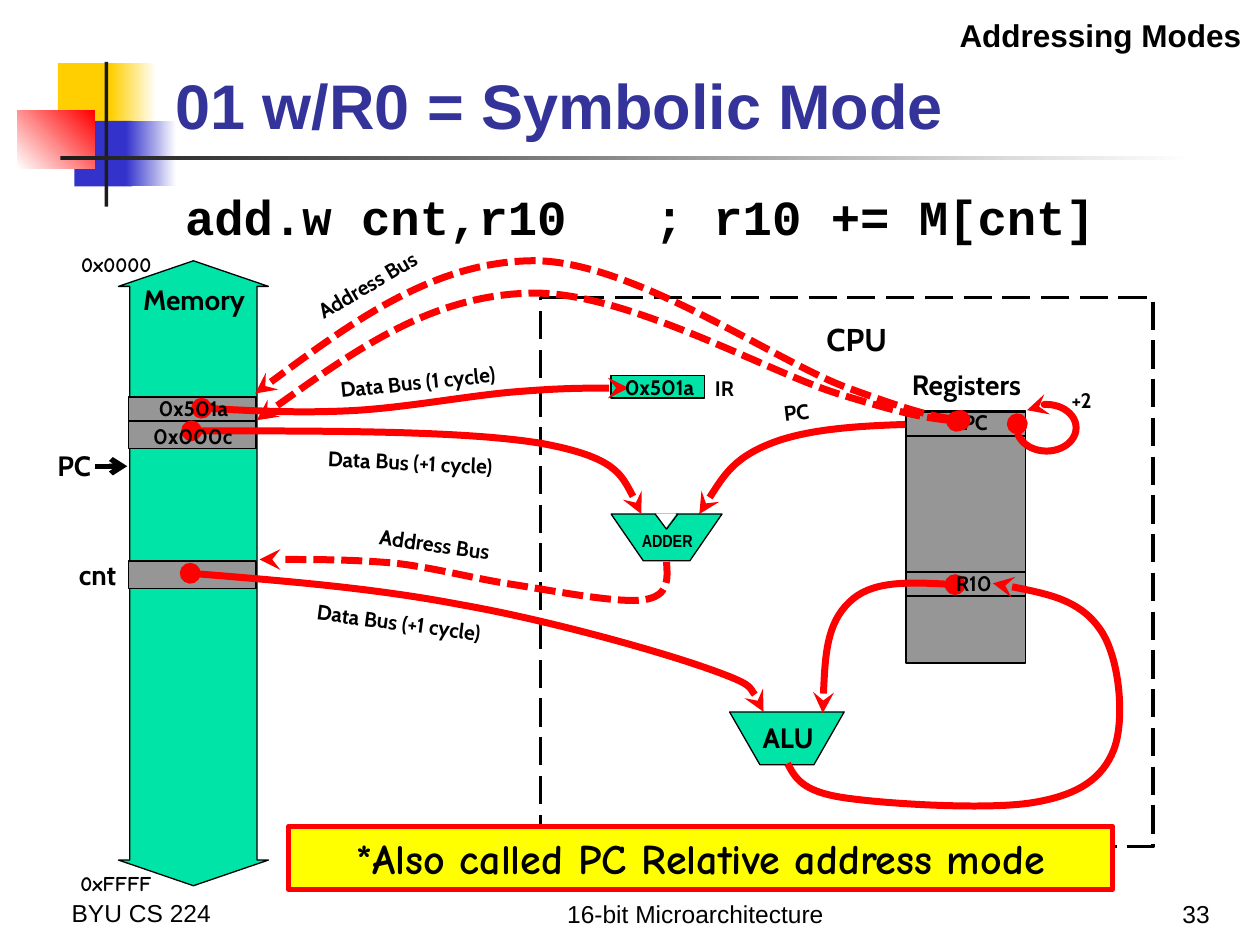
"""Build the symbolic addressing mode slide on a grid of 100 columns by 75 rows."""
import lxml.etree
import pptx
import pptx.dml.color
import pptx.enum.shapes
import pptx.enum.text
import pptx.oxml.ns
import pptx.util

hue = pptx.dml.color.RGBColor.from_string
qn = pptx.oxml.ns.qn
sub = lxml.etree.SubElement
kind = pptx.enum.shapes.MSO_SHAPE
side = pptx.enum.text.PP_ALIGN
edge = pptx.enum.text.MSO_ANCHOR

deck = pptx.Presentation()
deck.slide_width = pptx.util.Inches(10)
deck.slide_height = pptx.util.Inches(7.5)
col = deck.slide_width / 100
row = deck.slide_height / 75
slide = deck.slides.add_slide(deck.slide_layouts[5])
shapes = slide.shapes

RED, BLACK, WHITE = "FF0000", "000000", "FFFFFF"
GREEN, GRAY, DARK = "00E4A8", "969696", "1C1C1C"
GOLD, BLUE = "FFCF01", "3333CC"


def ink(shape, tint, width, dash=None, head=None, tail=None):
    """Give a shape its outline, dash and line ends, and no shadow."""
    if tint:
        shape.line.color.rgb = hue(tint)
        shape.line.width = pptx.util.Pt(width)
    else:
        shape.line.fill.background()
    props = shape.element.spPr
    line = props.find(qn("a:ln"))
    for tag, key, value in (("a:prstDash", "val", dash), ("a:headEnd", "type", head),
                            ("a:tailEnd", "type", tail)):
        if value:
            sub(line, qn(tag)).set(key, value)
    sub(props, qn("a:effectLst"))


def curve(points, head="oval", dash=None, turn=0):
    """Draw a red Bezier arrow through a start point and triples of points."""
    spots = [(round(x * col), round(y * row)) for x, y in points]
    pen = shapes.build_freeform(*spots[0])
    pen.add_line_segments(spots[1:], close=False)
    shape = pen.convert_to_shape()
    steps = list(shape.element.iter(qn("a:lnTo")))
    for i in range(0, len(steps), 3):
        bend = sub(steps[i].getparent(), qn("a:cubicBezTo"))
        for step in steps[i:i + 3]:
            bend.append(step[0])
            step.getparent().remove(step)
    shape.rotation = turn
    shape.fill.background()
    ink(shape, RED, 4, dash, head, "stealth")


title = shapes.title
place = dict(left=12.9 * col, top=2.3 * row, width=87.1 * col, height=9.5 * row)
for key, value in place.items():
    setattr(title, key, round(value))
title.text_frame.text = "01 w/R0 = Symbolic Mode"
title.text_frame.vertical_anchor = edge.BOTTOM
title.text_frame.paragraphs[0].alignment = side.LEFT
font = title.text_frame.paragraphs[0].runs[0].font
for key, value in dict(size=pptx.util.Pt(36), name="Arial", bold=True).items():
    setattr(font, key, value)
font.color.rgb = hue("333399")

for x, y, w, h, tints, turn in (
    (4.6, 5, 4.8, 5.2, [GOLD], 0),
    (8.8, 5, 3.6, 5.2, [GOLD, WHITE], 0),
    (5.9, 9.6, 4.6, 5.2, [BLUE], 0),
    (10, 9.6, 4, 5.2, [BLUE, WHITE], 0),
    (1.4, 8.8, 6.1, 4.6, [WHITE, RED], 45),
    (8.3, 4.9, 0.3, 11.5, [DARK], 0),
    (4.8, 12.4, 90, 0.3, [DARK, WHITE], 0),
):
    block = shapes.add_shape(kind.RECTANGLE, *map(round, (x * col, y * row, w * col, h * row)))
    if len(tints) == 1:
        block.fill.solid()
        block.fill.fore_color.rgb = hue(tints[0])
    else:
        block.fill.gradient()
        block.fill.gradient_angle = turn
        for stop, tint in zip(block.fill.gradient_stops, tints):
            stop.color.rgb = hue(tint)
    ink(block, None, 0)

curve([(76, 33.6), (70.6, 33.7), (65.2, 33.8), (61.7, 35),
       (58.3, 36.2), (56.9, 38.5), (55.5, 40.8)])

for form, x, y, w, h, fill, tint, width, dash, turn, bends in (
    (kind.UP_DOWN_ARROW, 9.4, 20.7, 11.9, 49.6, GREEN, BLACK, 0.75, None, 0,
     {"adj1": 84800, "adj2": 17100}),
    (kind.RECTANGLE, 10.2, 31.5, 10.1, 1.9, GRAY, BLACK, 1, None, 0, {}),
    (kind.RECTANGLE, 10.2, 33.4, 10.1, 2.2, GRAY, BLACK, 1, None, 0, {}),
    (kind.RECTANGLE, 10.2, 44.5, 10.1, 2.2, GRAY, BLACK, 1, None, 0, {}),
    (kind.RECTANGLE, 71.9, 32.6, 9.5, 20, GRAY, BLACK, 1, None, 0, {}),
    (kind.RECTANGLE, 71.9, 32.7, 9.5, 1.9, GRAY, BLACK, 1, None, 0, {}),
    (kind.RECTANGLE, 71.9, 45.4, 9.5, 1.9, GRAY, BLACK, 1, None, 0, {}),
    (kind.RECTANGLE, 42.9, 23.6, 48.6, 43.6, None, BLACK, 2, "lgDash", 0, {}),
    (kind.RECTANGLE, 48.5, 29.8, 7.4, 1.8, GREEN, BLACK, 0.75, None, 0, {}),
    (kind.TRAPEZOID, 48.5, 40.8, 8.8, 3.7, GREEN, BLACK, 0.75, None, 180, {"adj": 68900}),
    (kind.ISOSCELES_TRIANGLE, 52.1, 40.8, 1.5, 1, WHITE, WHITE, 0.75, None, 180, {}),
    (kind.TRAPEZOID, 57.9, 56.5, 9.1, 4.2, GREEN, BLACK, 0.75, None, 180, {"adj": 57400}),
):
    block = shapes.add_shape(form, *map(round, (x * col, y * row, w * col, h * row)))
    block.rotation = turn
    if bends:
        guides = next(block.element.iter(qn("a:avLst")))
        guides.clear()
        for key, value in bends.items():
            sub(guides, qn("a:gd"), name=key, fmla=f"val {value}")
    if fill:
        block.fill.solid()
        block.fill.fore_color.rgb = hue(fill)
    else:
        block.fill.background()
    ink(block, tint, width, dash)

for x, y, far, low, width, tail in (
    (53.8, 40.8, 52.9, 42, 0.75, None),
    (52, 40.8, 52.9, 42, 0.75, None),
    (7.5, 37, 10.1, 37, 3, "arrow"),
):
    wire = shapes.add_connector(pptx.enum.shapes.MSO_CONNECTOR.STRAIGHT,
                                *map(round, (x * col, y * row, far * col, low * row)))
    ink(wire, BLACK, width, tail=tail)

curve([(75.8, 46.4), (72.4, 46.2), (69.1, 46.1), (67.4, 47.8),
       (65.6, 49.5), (65.4, 53), (65.3, 56.6)])
curve([(62.5, 60.6), (63.1, 61.7), (63.6, 62.8), (66.9, 63.3),
       (70.1, 63.8), (78.4, 64.3), (82, 63.7), (85.6, 63.1), (87.5, 61.8), (88.4, 59.5),
       (89.3, 57.2), (88.9, 52), (87.2, 49.8), (85.6, 47.6), (82.2, 46.9), (78.8, 46.3)], None)
curve([(15.1, 45.5), (22.5, 46.1), (29.8, 46.7), (36.6, 48),
       (43.4, 49.2), (52, 51.6), (56, 53), (60, 54.4), (60.3, 55.5), (60.6, 56.5)])
curve([(15.2, 34.2), (26.1, 34.2), (37, 34.2), (43, 35.2),
       (48.9, 36.3), (49.9, 38.5), (50.9, 40.8)])
curve([(52.9, 44.6), (53, 46), (53.1, 47.3), (51.1, 47.6),
       (49.1, 47.9), (44, 46.9), (40.8, 46.4), (37.5, 45.9), (34.7, 45.1), (31.4, 44.7),
       (28, 44.4), (24.3, 44.4), (20.6, 44.4)], None, "sysDash")
curve([(16, 32.4), (19.9, 32.6), (23.7, 32.8), (27.8, 32.6),
       (32, 32.4), (37.2, 31.4), (40.9, 31.1), (44.6, 30.8), (47.2, 30.8), (49.9, 30.8)])

C, L, R = side.CENTER, side.LEFT, side.RIGHT
for words, x, y, w, h, size, face, lean, turn in (
    ("Memory", 8.7, 21.9, 13.4, 3.7, 16, "Cabin", C, 0),
    ("0x0000", 2.5, 19.5, 10.5, 3, 12, "Comic Neue", R, 0),
    ("0xFFFF", 2.5, 68.6, 10.5, 3, 12, "Comic Neue", R, 0),
    ("BYU CS 224", 4.7, 67.2, 20.8, 6.9, 14, "Arial", L, 0),
    ("16-bit Microarchitecture", 28.7, 69, 53, 5.2, 14, "Arial", C, 0),
    ("33", 88.6, 69, 8.4, 5.2, 14, "Arial", R, 0),
    ("Addressing Modes", 59.3, 0.8, 40.2, 4, 18, "Arial", R, 0),
    ("add.w cnt,r10   ; r10 += M[cnt]", 13.7, 14.3, 85.8, 5.7, 28, "Courier New", L, 0),
    ("Registers", 70, 28.7, 13.4, 3.7, 16, "Cabin", C, 0),
    ("CPU", 61.3, 24.9, 13.4, 4, 18, "Cabin", C, 0),
    ("Address Bus", 22.3, 21, 14.4, 4.4, 12, "Cabin", C, 329.5),
    ("Data Bus (1 cycle)", 23.7, 28.8, 18.9, 3, 12, "Cabin", C, 354.2),
    ("Data Bus (+1 cycle)", 22.3, 35.2, 20.5, 3, 12, "Cabin", C, 2.9),
    ("Address Bus", 27.3, 41.7, 14.4, 3, 12, "Cabin", C, 7.9),
    ("Data Bus (+1 cycle)", 21.2, 47.9, 20.9, 3, 12, "Cabin", C, 7.5),
    ("ADDER", 50.9, 42.1, 4.1, 1.7, 10, "Arial Narrow", C, 0),
    ("cnt", 0, 43.8, 10.2, 3.7, 16, "Cabin", R, 0),
    ("PC", 3.1, 35.1, 5.1, 3.7, 16, "Cabin", R, 0),
    ("0x501a", 12.2, 31.4, 6.3, 2, 12, "Cabin", C, 0),
    ("0x000c", 12.1, 33.6, 6.4, 2, 12, "Cabin", C, 0),
    ("0x501a", 49.2, 29.7, 6.3, 2, 12, "Cabin", C, 0),
    ("IR", 54.7, 29.3, 5.6, 3, 12, "Cabin", C, 0),
    ("PC", 60.8, 31.2, 4.8, 3, 12, "Cabin", C, 353.1),
    ("PC", 74.6, 32, 5.6, 3, 12, "Cabin", C, 0),
    ("R10", 74.5, 44.8, 5.6, 3, 12, "Cabin", C, 0),
    ("ALU", 59.2, 56.7, 6.7, 3.7, 16, "Cabin", C, 0),
    ("+2", 83.4, 30.3, 4.9, 3, 12, "Cabin", C, 0),
    ("*Also called PC Relative address mode", 22.9, 65.6, 65.4, 5, 24, "Comic Neue", C, 0),
):
    label = shapes.add_textbox(*map(round, (x * col, y * row, w * col, h * row)))
    label.rotation = turn
    frame = label.text_frame
    tight = h <= 2
    frame.word_wrap = not tight
    if tight:
        for key in ("left", "right", "top", "bottom"):
            setattr(frame, "margin_" + key, 0)
    frame.vertical_anchor = edge.BOTTOM if size == 14 else edge.TOP
    frame.text = words
    frame.paragraphs[0].alignment = lean
    font = frame.paragraphs[0].runs[0].font
    for key, value in dict(size=pptx.util.Pt(size), name=face, bold=size != 14).items():
        setattr(font, key, value)
    font.color.rgb = hue(BLACK)

label.fill.solid()
label.fill.fore_color.rgb = hue("FFFF00")
ink(label, RED, 3)

curve([(75.7, 34.7), (74, 34.4), (72.3, 34.2), (66.7, 32.2), (61.1, 30.3), (49.8, 23),
       (42.1, 23), (34.3, 22.9), (27.3, 27.5), (20.2, 32.1)], dash="sysDash", turn=357.4)
curve([(76.1, 33.8), (74.4, 33.5), (72.7, 33.2), (67, 31), (61.4, 28.8), (50.1, 20.6),
       (42.3, 20.6), (34.5, 20.6), (27.3, 25.7), (20.2, 30.8)], dash="sysDash", turn=359.1)

loop = shapes.add_shape(kind.ARC, *map(round, (80.7 * col, 32.1 * row, 4.7 * col, 3.7 * row)))
loop.rotation = 180
loop.adjustments[0], loop.adjustments[1] = 25.23, 4.59
loop.fill.background()
ink(loop, RED, 4, head="stealth", tail="oval")

deck.save("out.pptx")
